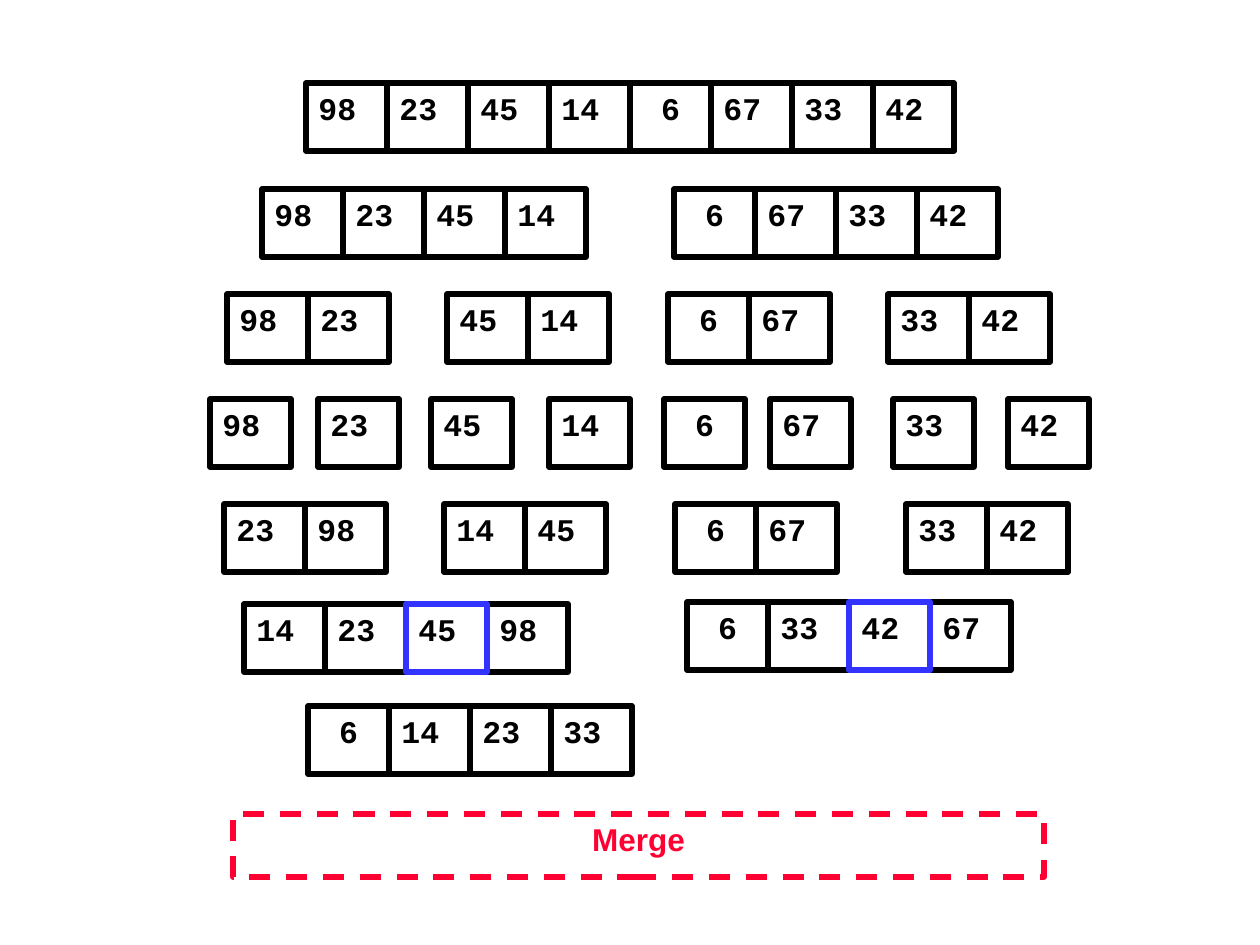
from pptx import Presentation
from pptx.dml.color import RGBColor
from pptx.enum.dml import MSO_LINE
from pptx.enum.shapes import MSO_SHAPE
from pptx.enum.text import MSO_ANCHOR, MSO_AUTO_SIZE, PP_ALIGN
from pptx.util import Emu, Pt

PX_PER_INCH = 126
BLACK = RGBColor(0x00, 0x00, 0x00)
BLUE = RGBColor(0x33, 0x33, 0xFF)
RED = RGBColor(0xFF, 0x00, 0x33)

CELL_W, CELL_H = 81, 68

# Each row: top, then (left, values) of every array in it
SPLIT_ROWS = [
    (83, [(306, [98, 23, 45, 14, 6, 67, 33, 42])]),
    (189, [(262, [98, 23, 45, 14]), (674, [6, 67, 33, 42])]),
    (294, [(227, [98, 23]), (447, [45, 14]), (668, [6, 67]), (888, [33, 42])]),
    (399, [(210, [98]), (318, [23]), (431, [45]), (549, [14]),
           (664, [6]), (770, [67]), (893, [33]), (1008, [42])]),
]
MERGE_ROWS = [
    (504, [(224, [23, 98]), (444, [14, 45]), (675, [6, 67]), (906, [33, 42])]),
    (604, [(244, [14, 23, 45, 98])]),
    (602, [(687, [6, 33, 42, 67])]),
    (706, [(308, [6, 14, 23, 33])]),
]
# Next values to compare, by top of the row
COMPARED = {604: 45, 602: 42}


def px(n):
    return Emu(round(n * 914400 / PX_PER_INCH))


def add_box(slide, x, y, w, h, color, dash=None):
    sp = slide.shapes.add_shape(MSO_SHAPE.RECTANGLE, px(x), px(y), px(w), px(h))
    sp.shadow.inherit = False
    sp.fill.background()
    sp.line.color.rgb = color
    sp.line.width = Pt(3)
    if dash:
        sp.line.dash_style = dash
    return sp


def set_text(sp, text, *, font="Courier New", color=BLACK, align=PP_ALIGN.LEFT, wrap=False):
    tf = sp.text_frame
    tf.word_wrap = wrap
    tf.vertical_anchor = MSO_ANCHOR.TOP
    p = tf.paragraphs[0]
    p.alignment = align
    r = p.add_run()
    r.text = text
    r.font.name = font
    r.font.size = Pt(18)
    r.font.bold = True
    r.font.color.rgb = color


def add_array(slide, x, y, values, compared=None):
    # The compared cell comes last, so that its outline lies on top
    cells = sorted(enumerate(values), key=lambda cell: cell[1] == compared)
    for i, value in cells:
        color = BLUE if value == compared else BLACK
        sp = add_box(slide, x + i * CELL_W, y, CELL_W, CELL_H, color)
        align = PP_ALIGN.CENTER if value < 10 else PP_ALIGN.LEFT
        set_text(sp, str(value), align=align)


def main():
    prs = Presentation()
    prs.slide_width, prs.slide_height = px(1260), px(945)
    slide = prs.slides.add_slide(prs.slide_layouts[6])

    # Arrays: split down to single cells, then merged
    for y, arrays in SPLIT_ROWS + MERGE_ROWS:
        for x, values in arrays:
            add_array(slide, x, y, values, COMPARED.get(y))

    # Current step
    step = add_box(slide, 233, 814, 811, 63, RED, dash=MSO_LINE.DASH)
    set_text(step, "Merge", font="Arial", color=RED, align=PP_ALIGN.CENTER, wrap=True)
    step.text_frame.auto_size = MSO_AUTO_SIZE.SHAPE_TO_FIT_TEXT

    prs.save("out.pptx")


if __name__ == "__main__":
    main()
